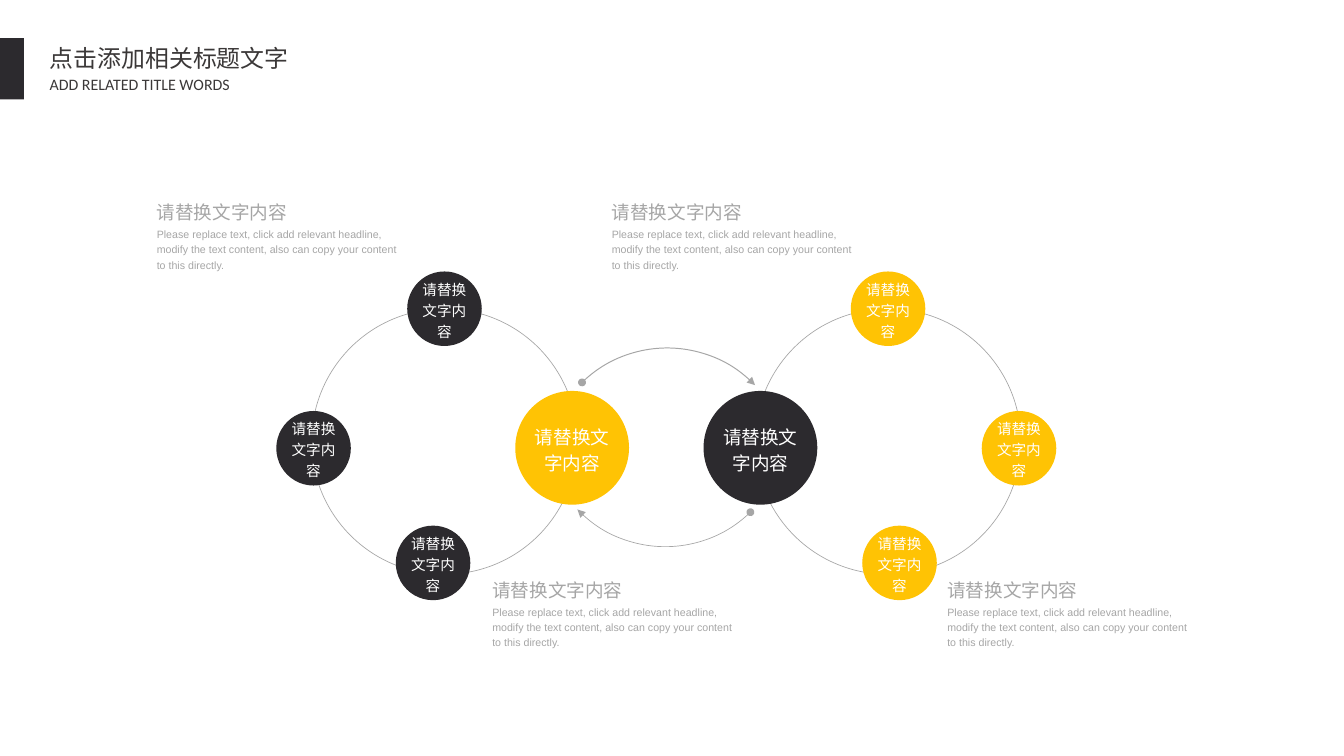
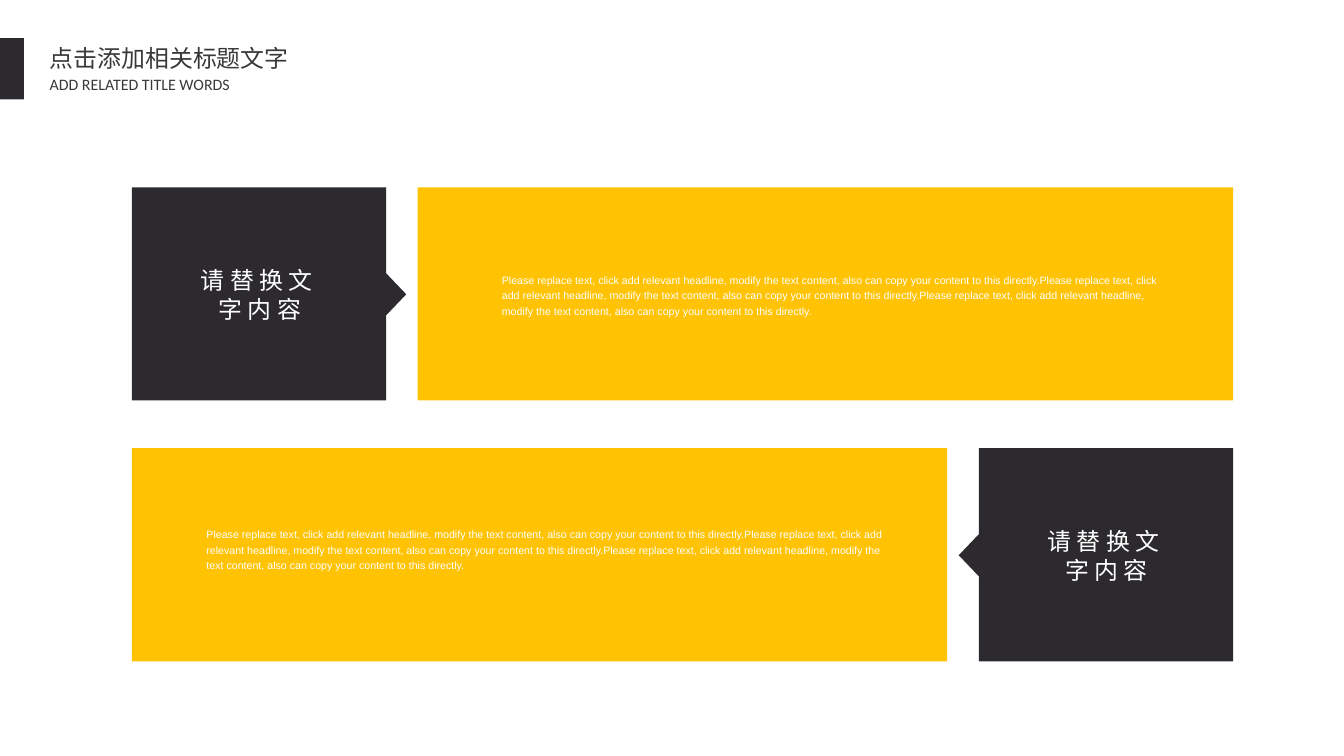
"""Build two slides: linked circle groups and mirrored callout panels."""
from dataclasses import dataclass

from lxml import etree
from pptx import Presentation
from pptx import util as u
from pptx.dml.color import RGBColor
from pptx.enum import shapes, text
from pptx.oxml import ns

COLORS = {"dark": "2C2A2E", "gold": "FFC304", "gray": "A6A6A6",
          "white": "FFFFFF", "title": "3B3838"}
LABEL = "请替换文字内容"
SENTENCE = ("Please replace text, click add relevant headline, modify the text "
            "content, also can copy your content to this directly.")
CENTER = text.PP_ALIGN.CENTER
LEFT = text.PP_ALIGN.LEFT


@dataclass(frozen=True)
class Style:
    """Describe how a run of text looks."""
    size: float
    color: str
    font: str = "Arial"
    align: text.PP_ALIGN = LEFT
    leading: float | None = 1.2
    tracking: int = 0


@dataclass(frozen=True)
class Bubble:
    """Describe a labelled circle of the left group by its corner and size."""
    left: float
    top: float
    size: float
    label_size: int
    fills: tuple[str, str]


@dataclass(frozen=True)
class Arc:
    """Describe a quarter-circle arrow by corner, angles in degrees and line width."""
    left: float
    top: float
    start: int
    end: int
    width: float


@dataclass(frozen=True)
class Panel:
    """Describe a callout row: its top, direction and text box positions."""
    top: float
    mirrored: bool
    body: tuple[float, float, float]
    label: tuple[float, float]


TITLE = Style(18, "title", "Noto Sans CJK SC", leading=None)
SUBTITLE = Style(12, "title", "Calibri", leading=None)
HEADING = Style(14, "gray")
NOTE = Style(8, "gray")
PANEL_NOTE = Style(8, "white")
PANEL_LABEL = Style(18, "white", align=CENTER, leading=None, tracking=420)

RING_LEFT, RING_TOP, RING_SIZE = 3.26, 3.23, 2.78
GROUP_SPAN = 13.94
SMALL = ("dark", "gold")
BUBBLES = (
    Bubble(5.39, 4.09, 1.19, 14, ("gold", "dark")),
    Bubble(2.89, 4.3, 0.78, 11, SMALL),
    Bubble(4.26, 2.84, 0.78, 11, SMALL),
    Bubble(4.14, 5.5, 0.78, 11, SMALL),
)
ARC_SIZE, ARC_TURN = 2.56, 315.9
ARCS = (Arc(5.7, 3.64, 270, 0, 0.75), Arc(5.68, 3.16, 90, 180, 0.5))
CAPTIONS = ((5.15, 6.01), (9.91, 6.01), (1.64, 2.06), (6.4, 2.06))

PANEL_SPAN = 14.28
PANEL_WIDTH, PANEL_HEIGHT = 8.53, 2.23
PANELS = (
    Panel(1.96, False, (5.25, 2.84, 6.89), (2.04, 2.78)),
    Panel(4.69, True, (2.16, 5.5, 7.2), (10.9, 5.51)),
)
CALLOUT = ((1.38, 0), (4.04, 0), (4.04, 0.9), (4.25, 1.12),
           (4.04, 1.34), (4.04, PANEL_HEIGHT), (1.38, PANEL_HEIGHT))


def rgb(name: str) -> RGBColor:
    """Return the named palette colour."""
    return RGBColor.from_string(COLORS[name])


def apply(target, values: dict) -> None:
    """Set every attribute in values on target."""
    for name, value in values.items():
        setattr(target, name, value)


def paint(shape, fill: str | None = None, line: str | None = None, width: float = 0.5) -> None:
    """Give a shape a flat fill and line, or none, and no shadow."""
    shape.shadow.inherit = False
    if fill:
        shape.fill.solid()
        shape.fill.fore_color.rgb = rgb(fill)
    else:
        shape.fill.background()
    if line:
        shape.line.color.rgb = rgb(line)
        shape.line.width = u.Pt(width)
    else:
        shape.line.fill.background()


def add_preset(page, kind, left: float, top: float, width: float, height: float):
    """Add a preset shape measured in inches."""
    return page.shapes.add_shape(kind, *map(u.Inches, (left, top, width, height)))


def write(shape, words: str, style: Style, wrap: bool = True,
          insets: tuple[float, float] = (0, 0), **frame_values) -> None:
    """Write one styled paragraph into a shape."""
    across, down = map(u.Inches, insets)
    frame = shape.text_frame
    apply(frame, {"margin_left": across, "margin_right": across, "margin_top": down,
                  "margin_bottom": down, "word_wrap": wrap, **frame_values})
    para = frame.paragraphs[0]
    apply(para, {"alignment": style.align, "line_spacing": style.leading})
    span = para.add_run()
    span.text = words
    apply(span.font, {"size": u.Pt(style.size), "name": style.font})
    span.font.color.rgb = rgb(style.color)
    properties = span.font._element if hasattr(span.font, "_element") else span._r.get_or_add_rPr()
    etree.SubElement(properties, ns.qn("a:ea"), typeface=style.font)
    if style.tracking:
        properties.set("spc", str(style.tracking))


def add_text(page, at: tuple[float, float, float, float], words: str, style: Style,
             wrap: bool = True, insets: tuple[float, float] = (0, 0)) -> None:
    """Add a text box that grows with its text."""
    box = page.shapes.add_textbox(*map(u.Inches, at))
    write(box, words, style, wrap, insets, auto_size=text.MSO_AUTO_SIZE.SHAPE_TO_FIT_TEXT)


def add_page(deck):
    """Add a blank page with the shared side bar and titles."""
    page = deck.slides.add_slide(deck.slide_layouts[6])
    paint(add_preset(page, shapes.MSO_SHAPE.RECTANGLE, 0, 0.4, 0.25, 0.64), "dark")
    insets = (0.11, 0.05)
    add_text(page, (0.41, 0.41, 2.74, 0.41), "点击添加相关标题文字", TITLE, False, insets)
    add_text(page, (0.41, 0.73, 2.57, 0.31), "ADD RELATED TITLE WORDS", SUBTITLE, False, insets)
    return page


def add_circle(page, left: float, top: float, size: float, mirrored: bool):
    """Add a circle, reflected to the right group when mirrored."""
    place = GROUP_SPAN - left - size if mirrored else left
    return add_preset(page, shapes.MSO_SHAPE.OVAL, place, top, size, size)


def add_group(page, mirrored: bool) -> None:
    """Draw a ring with its four labelled circles."""
    paint(add_circle(page, RING_LEFT, RING_TOP, RING_SIZE, mirrored), line="gray")
    for bubble in BUBBLES:
        circle = add_circle(page, bubble.left, bubble.top, bubble.size, mirrored)
        paint(circle, bubble.fills[mirrored])
        write(circle, LABEL, Style(bubble.label_size, "white", align=CENTER),
              vertical_anchor=text.MSO_ANCHOR.MIDDLE)


def add_arc(page, arc: Arc) -> None:
    """Draw a curved arrow with a dot at its start."""
    curve = add_preset(page, shapes.MSO_SHAPE.ARC, arc.left, arc.top, ARC_SIZE, ARC_SIZE)
    for index, angle in enumerate((arc.start, arc.end)):
        curve.adjustments[index] = angle * 0.6
    curve.rotation = ARC_TURN
    paint(curve, line="gray", width=arc.width)
    line = curve.line._get_or_add_ln()
    for tag, kind in (("a:headEnd", "oval"), ("a:tailEnd", "triangle")):
        etree.SubElement(line, ns.qn(tag), type=kind)


def add_panel(page, panel: Panel) -> None:
    """Draw a wide panel, its pointed callout and both texts."""
    left = PANEL_SPAN - 12.9 if panel.mirrored else 12.9 - PANEL_WIDTH
    paint(add_preset(page, shapes.MSO_SHAPE.RECTANGLE, left, panel.top,
                     PANEL_WIDTH, PANEL_HEIGHT), "gold")
    points = [(u.Inches(PANEL_SPAN - x if panel.mirrored else x), u.Inches(panel.top + y))
              for x, y in CALLOUT]
    builder = page.shapes.build_freeform(*points[0])
    builder.add_line_segments(points[1:], close=True)
    paint(builder.convert_to_shape(), "dark")
    add_text(page, (*panel.body, 0.48), SENTENCE * 3, PANEL_NOTE)
    add_text(page, (*panel.label, 1.35, 0.61), LABEL, PANEL_LABEL)


def main() -> None:
    """Build and save the deck."""
    deck = Presentation()
    apply(deck, {"slide_width": u.Inches(14.06), "slide_height": u.Inches(7.91)})

    circles = add_page(deck)
    for mirrored in (False, True):
        add_group(circles, mirrored)
    for arc in ARCS:
        add_arc(circles, arc)
    for left, top in CAPTIONS:
        add_text(circles, (left, top + 0.3, 2.58, 0.48), SENTENCE, NOTE)
        add_text(circles, (left, top, 1.37, 0.28), LABEL, HEADING, False)

    callouts = add_page(deck)
    for panel in PANELS:
        add_panel(callouts, panel)

    deck.save("out.pptx")


if __name__ == "__main__":
    main()
